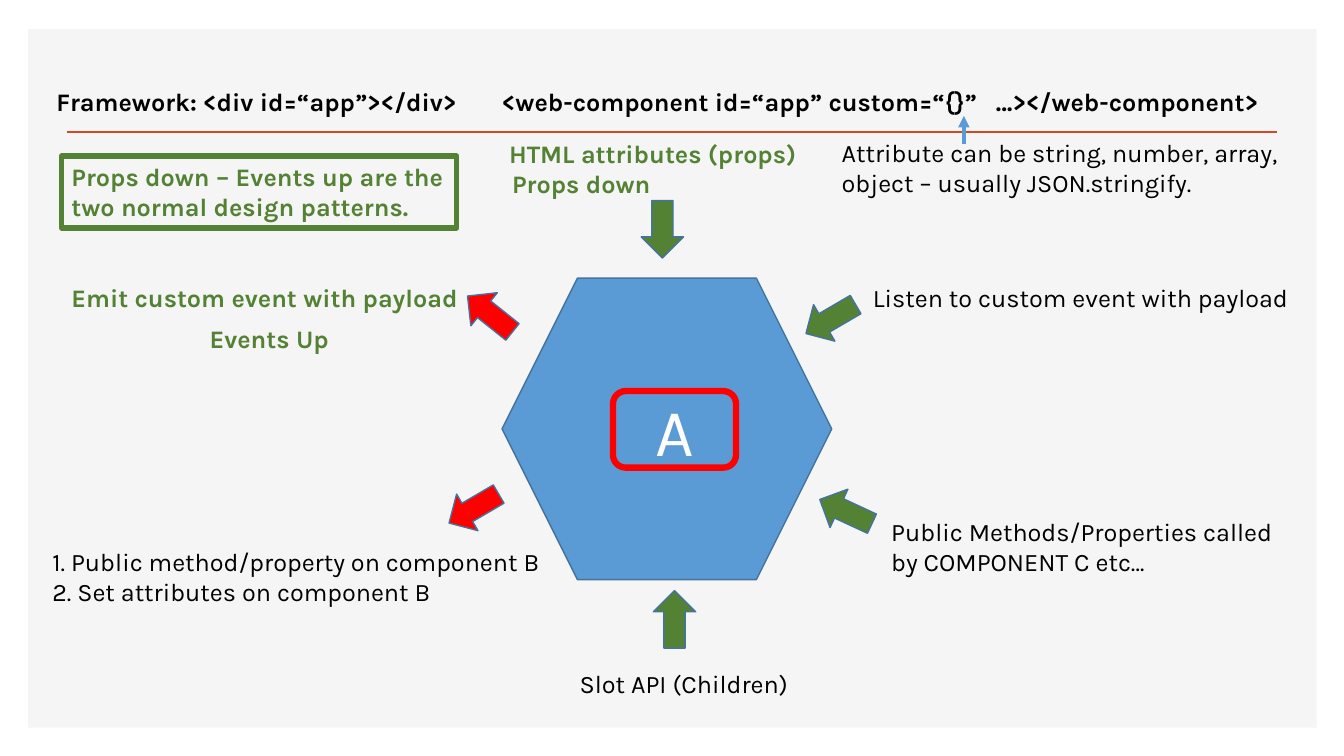
"""Builds a slide on how data flows in and out of a web component."""
from lxml import etree
from pptx import Presentation
from pptx.dml.color import RGBColor
from pptx.enum.shapes import MSO_CONNECTOR, MSO_SHAPE
from pptx.enum.text import MSO_ANCHOR, PP_ALIGN
from pptx.oxml.ns import qn
from pptx.util import Pt

PX = 9144
COLORS = {
    "panel": "F5F5F5", "rule": "D24726", "blue": "5B9BD5", "edge": "43739E",
    "green": "548235", "red": "FF0000", "black": "000000", "white": "FFFFFF",
}


def add_block(kind, place, fill, line, width):
    block = page.shapes.add_shape(kind, *[value * PX for value in place])
    block.shadow.inherit = False
    if fill:
        block.fill.solid()
        block.fill.fore_color.rgb = RGBColor.from_string(COLORS[fill])
    else:
        block.fill.background()
    if line:
        block.line.color.rgb = RGBColor.from_string(COLORS[line])
        block.line.width = Pt(width)
    else:
        block.line.fill.background()
    return block


def write(box, text, color, bold=False, size=18, align=PP_ALIGN.LEFT):
    frame = box.text_frame
    frame.word_wrap = True
    frame.text = text
    for para in frame.paragraphs:
        para.alignment = align
        para.font.name = "Karla"
        para.font.size = Pt(size)
        para.font.bold = bold
        para.font.color.rgb = RGBColor.from_string(COLORS[color])


deck = Presentation()
deck.slide_width, deck.slide_height = 1333 * PX, 750 * PX
page = deck.slides.add_slide(deck.slide_layouts[6])

add_block(MSO_SHAPE.RECTANGLE, (28, 29, 1278, 693), "panel", None, 0)
add_block(MSO_SHAPE.HEXAGON, (498, 276, 327, 299), "blue", "edge", 1)

arrows = [
    (636, 199, 180, "green"),
    (465, 283, 308.6, "red"),
    (648, 586, 0, "green"),
    (803, 288, 239.7, "green"),
    (818, 479, 294.9, "green"),
    (449, 476, 239.7, "red"),
]
for left, top, angle, fill in arrows:
    arrow = add_block(MSO_SHAPE.UP_ARROW, (left, top, 42, 57), fill, "edge", 1)
    arrow.rotation = angle

component = add_block(MSO_SHAPE.ROUNDED_RECTANGLE, (608, 388, 122, 76), "blue", "red", 4.5)
write(component, "A", "white", size=48, align=PP_ALIGN.CENTER)

pattern = add_block(MSO_SHAPE.RECTANGLE, (61, 155, 392, 71), None, "green", 4)
pattern.text_frame.vertical_anchor = MSO_ANCHOR.TOP
write(pattern, "Props down – Events up are the two normal design patterns.", "green", True)

labels = [
    (42, 537, 511, 71, "1. Public method/property on component B\n2. Set attributes on component B", "black", False),
    (495, 132, 309, 40, "HTML attributes (props)", "green", True),
    (856, 275, 440, 40, "Listen to custom event with payload", "black", False),
    (565, 658, 232, 40, "Slot API (Children)", "black", False),
    (874, 507, 407, 71, "Public Methods/Properties called by COMPONENT C etc…", "black", False),
    (61, 275, 416, 40, "Emit custom event with payload", "green", True),
    (46, 81, 475, 40, "Framework: <div id=“app”></div>", "black", True),
    (825, 131, 482, 71, "Attribute can be string, number, array, object – usually JSON.stringify.", "black", False),
    (498, 162, 179, 40, "Props down", "green", True),
    (198, 316, 179, 40, "Events Up", "green", True),
]
for left, top, width, height, text, color, bold in labels:
    label = page.shapes.add_textbox(left * PX, top * PX, width * PX, height * PX)
    write(label, text, color, bold)

tag = page.shapes.add_textbox(488 * PX, 81 * PX, 819 * PX, 40 * PX)
write(tag, "<web-component id=“app” custom=“{}”\t…></web-component>", "black", True)
properties = tag.text_frame.paragraphs[0]._p.get_or_add_pPr()
tabs = etree.Element(qn("a:tabLst"))
etree.SubElement(tabs, qn("a:tab"), pos=str(490 * PX), algn="l")
properties.insert(0, tabs)

lines = [
    (66, 131, 1267, 131, "rule", 2, False),
    (956, 143, 956, 115, "blue", 2.75, True),
]
for x1, y1, x2, y2, color, width, pointed in lines:
    connector = page.shapes.add_connector(
        MSO_CONNECTOR.STRAIGHT, x1 * PX, y1 * PX, x2 * PX, y2 * PX)
    connector.line.color.rgb = RGBColor.from_string(COLORS[color])
    connector.line.width = Pt(width)
    if pointed:
        etree.SubElement(connector.line._get_or_add_ln(), qn("a:tailEnd"), type="triangle")
    etree.SubElement(connector._element.spPr, qn("a:effectLst"))

deck.save("out.pptx")
